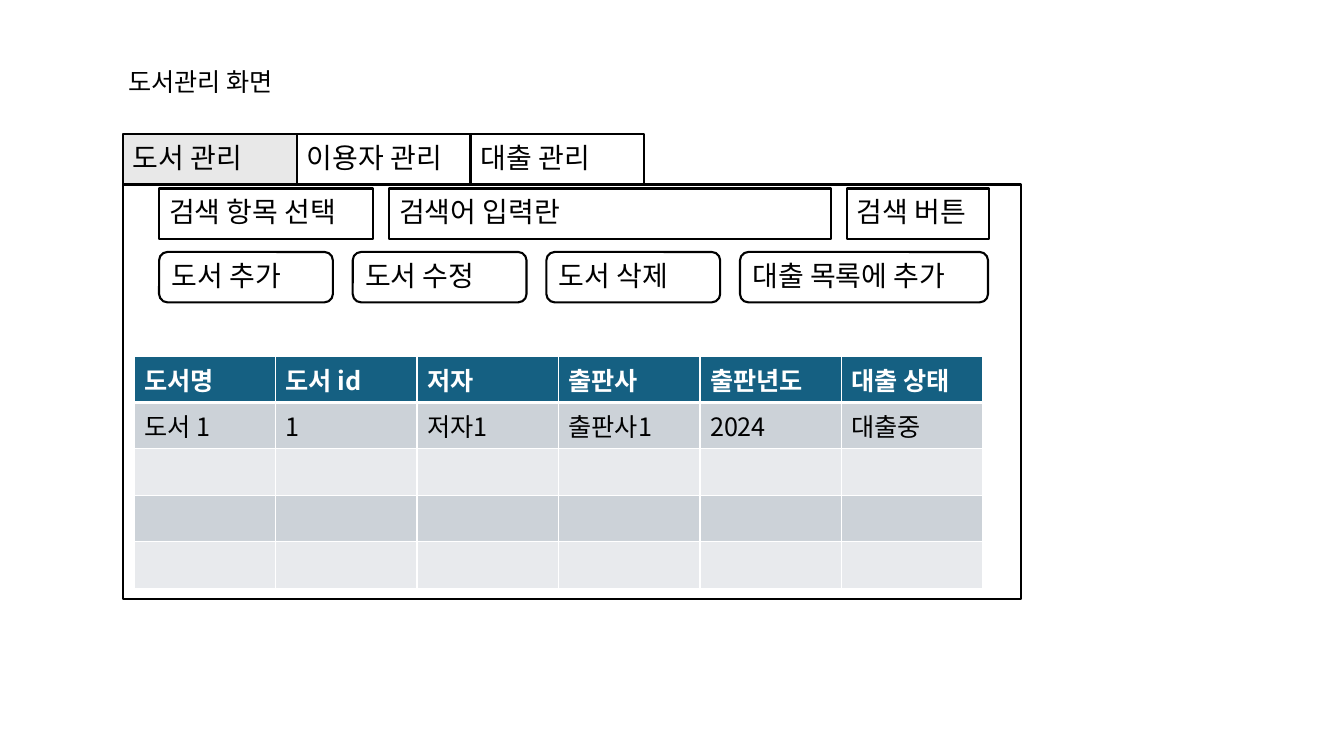
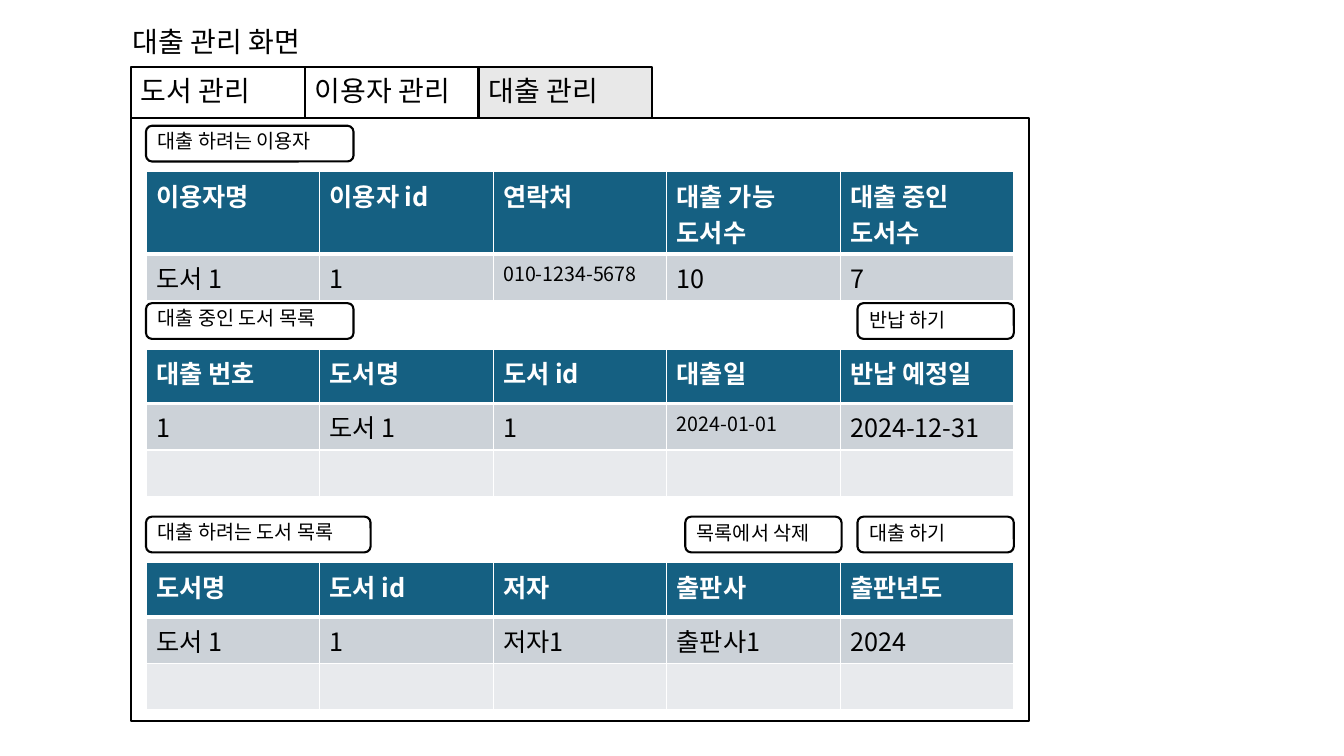
from lxml.etree import SubElement
from pptx import Presentation
from pptx.dml.color import RGBColor
from pptx.enum.shapes import MSO_SHAPE
from pptx.enum.text import MSO_ANCHOR, PP_ALIGN
from pptx.oxml.ns import qn
from pptx.util import Cm, Pt

FONT = "Noto Sans CJK KR"
BLACK = RGBColor(0x00, 0x00, 0x00)
WHITE = RGBColor(0xFF, 0xFF, 0xFF)
ACTIVE_TAB = RGBColor(0xE8, 0xE8, 0xE8)
HEADER = RGBColor(0x15, 0x60, 0x82)
BANDS = (RGBColor(0xCC, 0xD2, 0xD8), RGBColor(0xE8, 0xEA, 0xED))

TABS = ("도서 관리", "이용자 관리", "대출 관리")
TAB_WIDTH = 4.38
BAR_HEIGHT = 1.27
PANEL_WIDTH = 22.63
ROW_HEIGHT = 1.17
TALL_HEADER = 1.37


def write_text(frame, text, size, color=BLACK, bold=False, spacing=None):
    paragraph = frame.paragraphs[0]
    paragraph.alignment = PP_ALIGN.LEFT
    if spacing:
        paragraph.line_spacing = spacing
    for index, line in enumerate(text.split("\n")):
        if index:
            paragraph.add_line_break()
        run = paragraph.add_run()
        run.text = line
        run.font.name = FONT
        run.font.size = Pt(size)
        run.font.bold = bold
        run.font.color.rgb = color
        SubElement(run.font._element, qn("a:ea")).set("typeface", FONT)


def add_title(slide, text, left, top, width, size):
    shape = slide.shapes.add_textbox(Cm(left), Cm(top), Cm(width), Cm(BAR_HEIGHT))
    shape.text_frame.word_wrap = True
    shape.text_frame.vertical_anchor = MSO_ANCHOR.MIDDLE
    write_text(shape.text_frame, text, size, spacing=0.9)


def add_box(slide, left, top, width, height, text="", size=20,
            kind=MSO_SHAPE.RECTANGLE, fill=WHITE, spacing=0.9):
    shape = slide.shapes.add_shape(kind, Cm(left), Cm(top), Cm(width), Cm(height))
    shape.shadow.inherit = False
    shape.fill.solid()
    shape.fill.fore_color.rgb = fill
    shape.line.color.rgb = BLACK
    shape.line.width = Pt(1.5)
    if text:
        shape.text_frame.word_wrap = True
        shape.text_frame.vertical_anchor = MSO_ANCHOR.MIDDLE
        write_text(shape.text_frame, text, size, spacing=spacing)


def add_tabbed_panel(slide, left, top, height, active):
    add_box(slide, left, top + BAR_HEIGHT, PANEL_WIDTH, height)
    for index, name in enumerate(TABS):
        add_box(slide, left + index * TAB_WIDTH, top, TAB_WIDTH, BAR_HEIGHT, name,
                fill=ACTIVE_TAB if name == active else WHITE)
    return left, top + BAR_HEIGHT


def add_toolbar(slide, left, top, items, gap, kind):
    for text, width in items:
        add_box(slide, left, top, width, BAR_HEIGHT, text, kind=kind)
        left += width + gap


def set_borders(cell, widths):
    properties = cell._tc.get_or_add_tcPr()
    for side, width in zip("LRTB", widths):
        line = SubElement(properties, qn(f"a:ln{side}"), w=str(Pt(width)))
        fill = SubElement(line, qn("a:solidFill"))
        SubElement(fill, qn("a:srgbClr"), val=str(WHITE))


def add_list_table(slide, left, top, width, headings, values, empty_rows=0,
                   header_height=ROW_HEIGHT, small_column=None):
    rows = [headings, values] + [[""] * len(headings)] * empty_rows
    heights = [header_height] + [ROW_HEIGHT] * (len(rows) - 1)
    table = slide.shapes.add_table(len(rows), len(headings), Cm(left), Cm(top),
                                   Cm(width), Cm(sum(heights))).table
    for column in table.columns:
        column.width = Cm(width / len(headings))
    for row_index, texts in enumerate(rows):
        table.rows[row_index].height = Cm(heights[row_index])
        is_header = row_index == 0
        for column_index, text in enumerate(texts):
            cell = table.cell(row_index, column_index)
            set_borders(cell, (1, 1, 3 if row_index == 1 else 1, 3 if is_header else 1))
            cell.fill.solid()
            cell.fill.fore_color.rgb = HEADER if is_header else BANDS[(row_index - 1) % 2]
            if text:
                is_small = column_index == small_column and not is_header
                write_text(cell.text_frame, text, 14 if is_small else 18,
                           WHITE if is_header else BLACK, is_header)


def add_loan_section(slide, left, top, label, label_width, actions, headings, values,
                     **table_options):
    width, height, action_width, gap = 21.87, 0.9, 3.94, 0.4
    add_box(slide, left, top, label_width, height, label, 14,
            MSO_SHAPE.ROUNDED_RECTANGLE, spacing=0.7)
    for index, action in enumerate(reversed(actions)):
        action_left = left + width - action_width - index * (action_width + gap)
        add_box(slide, action_left, top, action_width, height, action, 14,
                MSO_SHAPE.ROUNDED_RECTANGLE)
    add_list_table(slide, left, top + 1.16, width, headings, values, **table_options)


def build_book_slide(slide):
    add_title(slide, "도서관리 화면", 2.98, 1.47, 4.7, 18)
    left, top = add_tabbed_panel(slide, 3.1, 3.38, 10.44, "도서 관리")
    add_toolbar(slide, left + 0.91, top + 0.1,
                [("검색 항목 선택", 5.4), ("검색어 입력란", 11.13), ("검색 버튼", 3.58)],
                0.4, MSO_SHAPE.RECTANGLE)
    add_toolbar(slide, left + 0.91, top + 1.7,
                [("도서 추가", 4.38), ("도서 수정", 4.38), ("도서 삭제", 4.38),
                 ("대출 목록에 추가", 6.25)],
                0.5, MSO_SHAPE.ROUNDED_RECTANGLE)
    add_list_table(slide, left + 0.28, top + 4.32, 21.39,
                   ["도서명", "도서 id", "저자", "출판사", "출판년도", "대출 상태"],
                   ["도서 1", "1", "저자1", "출판사1", "2024", "대출중"], empty_rows=3)


def build_loan_slide(slide):
    add_title(slide, "대출 관리 화면", 3.1, 0.45, 6.15, 20)
    left, top = add_tabbed_panel(slide, 3.3, 1.7, 15.19, "대출 관리")
    left += 0.38
    add_loan_section(slide, left, top + 0.2, "대출 하려는 이용자", 5.23, [],
                     ["이용자명", "이용자 id", "연락처", "대출 가능\n도서수", "대출 중인\n도서수"],
                     ["도서 1", "1", "010-1234-5678", "10", "7"],
                     header_height=2.07, small_column=2)
    add_loan_section(slide, left, top + 4.67, "대출 중인 도서 목록", 5.23, ["반납 하기"],
                     ["대출 번호", "도서명", "도서 id", "대출일", "반납 예정일"],
                     ["1", "도서 1", "1", "2024-01-01", "2024-12-31"],
                     empty_rows=1, header_height=TALL_HEADER, small_column=3)
    add_loan_section(slide, left, top + 10.05, "대출 하려는 도서 목록", 5.66,
                     ["목록에서 삭제", "대출 하기"],
                     ["도서명", "도서 id", "저자", "출판사", "출판년도"],
                     ["도서 1", "1", "저자1", "출판사1", "2024"],
                     empty_rows=1, header_height=TALL_HEADER)


def main():
    presentation = Presentation()
    presentation.slide_width = Cm(33.87)
    presentation.slide_height = Cm(19.05)
    for build in (build_book_slide, build_loan_slide):
        build(presentation.slides.add_slide(presentation.slide_layouts[6]))
    presentation.save("out.pptx")


if __name__ == "__main__":
    main()
